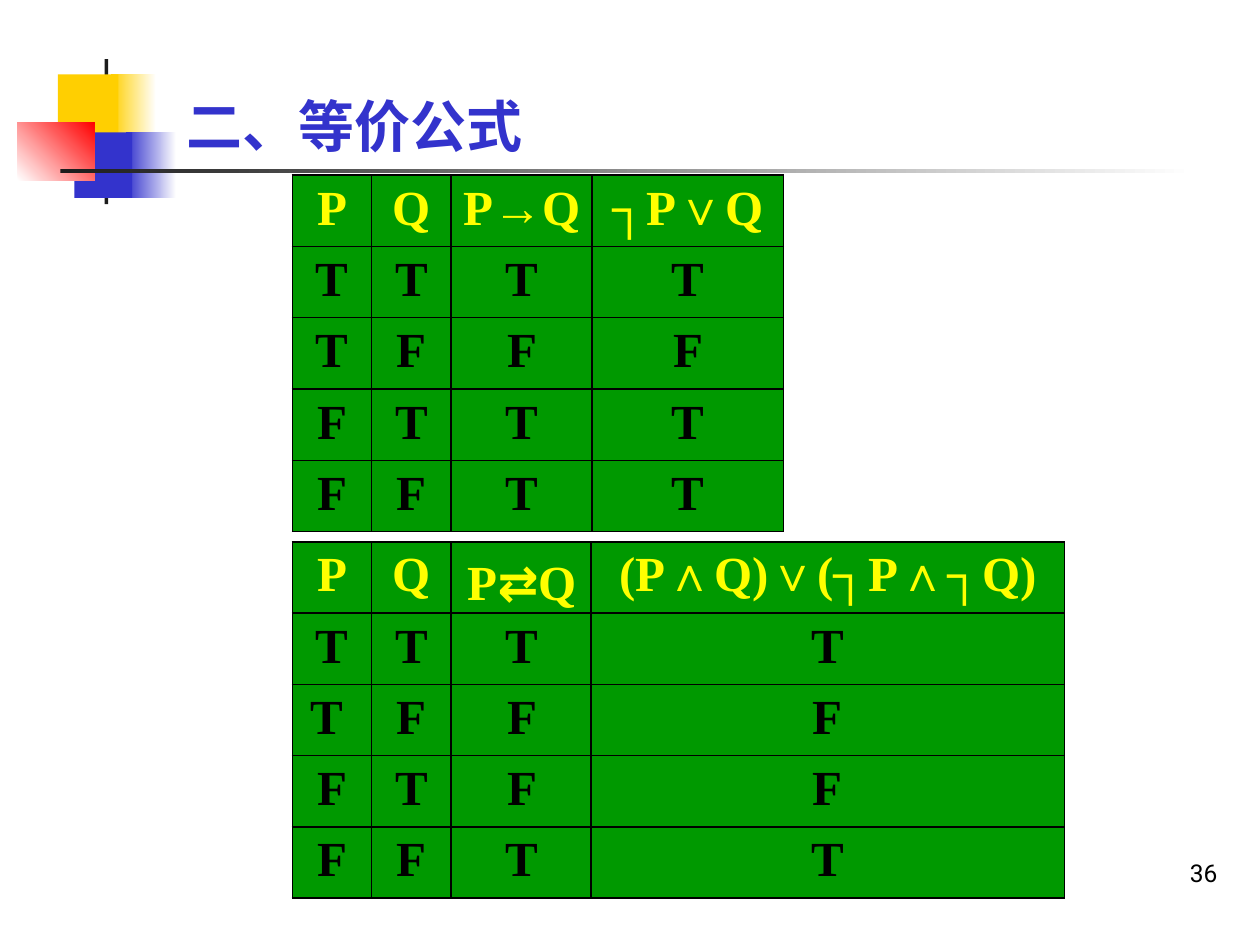
import pptx
import pptx.util
import pptx.dml.color
import pptx.enum.shapes
import pptx.enum.text
import pptx.oxml
from dataclasses import dataclass
from lxml import etree
from pptx.util import Inches


@dataclass(frozen=True)
class Theme:
    blue: str = "3333CC"
    gold: str = "FFCF01"
    red: str = "FF0000"
    dark: str = "1C1C1C"
    white: str = "FFFFFF"
    black: str = "000000"
    green: str = "009900"
    yellow: str = "FFFF00"
    serif: str = "Times New Roman"
    sans: str = "Roboto"
    mono: str = "Noto Sans Mono"
    title: int = 32
    cell: int = 28
    number: int = 14


theme = Theme()
rgb = pptx.dml.color.RGBColor.from_string
PP_ALIGN = pptx.enum.text.PP_ALIGN
MSO_ANCHOR = pptx.enum.text.MSO_ANCHOR


def style_run(r, font, size, color, bold=False):
    r.font.name = font
    r.font.size = pptx.util.Pt(size)
    r.font.bold = bold
    r.font.color.rgb = rgb(color)


def set_borders(cell, color):
    props = cell._tc.get_or_add_tcPr()
    for i, side in enumerate(("lnL", "lnR", "lnT", "lnB")):
        props.insert(i, pptx.oxml.parse_xml(
            f'<a:{side} xmlns:a="http://schemas.openxmlformats.org/drawingml/2006/main" w="12700">'
            f'<a:solidFill><a:srgbClr val="{color}"/></a:solidFill></a:{side}>'))


prs = pptx.Presentation()
prs.slide_width, prs.slide_height = Inches(10), Inches(7.5)
s = prs.slides.add_slide(prs.slide_layouts[5])

# Corner ornament and rule: left, top, width, height, colours, gradient angle
ornament = [
    (0.88, 0.59, 0.36, 0.52, (theme.gold, theme.white), 0),
    (1.0, 1.05, 0.4, 0.52, (theme.blue, theme.white), 0),
    (0.83, 0.47, 0.03, 1.15, (theme.dark,), 0),
    (0.46, 0.59, 0.48, 0.52, (theme.gold,), 0),
    (0.59, 1.05, 0.46, 0.52, (theme.blue,), 0),
    (0.14, 0.97, 0.61, 0.46, (theme.white, theme.red), 45),
    (0.48, 1.34, 9, 0.03, (theme.dark, theme.white), 0),
]
for *box, colors, angle in ornament:
    sp = s.shapes.add_shape(pptx.enum.shapes.MSO_SHAPE.RECTANGLE, *map(Inches, box))
    sp.shadow.inherit = False
    sp.line.fill.background()
    if len(colors) == 1:
        sp.fill.solid()
        sp.fill.fore_color.rgb = rgb(colors[0])
    else:
        sp.fill.gradient()
        sp.fill.gradient_angle = angle
        for stop, color in zip(sp.fill.gradient_stops, colors):
            stop.color.rgb = rgb(color)

# Title
title = s.shapes.title
title.left, title.top, title.width, title.height = map(Inches, (1.38, 0.68, 4.21, 0.63))
tf = title.text_frame
tf.text = "二、等价公式"
tf.vertical_anchor = MSO_ANCHOR.MIDDLE
p = tf.paragraphs[0]
p.alignment = PP_ALIGN.LEFT
style_run(p.runs[0], theme.serif, theme.title, theme.blue, True)

# Slide number
tf = s.shapes.add_textbox(*map(Inches, (7.68, 6.59, 2.08, 0.5))).text_frame
tf.word_wrap = True
tf.vertical_anchor = MSO_ANCHOR.BOTTOM
p = tf.paragraphs[0]
p.text = "36"
p.alignment = PP_ALIGN.RIGHT
style_run(p.runs[0], theme.sans, theme.number, theme.black)

# Truth tables: left, top, column widths, header, body rows
upper, lower, height = 1.39, 4.3, 2.83
tables = [
    (2.32, lower, (0.63, 0.63, 1.13), ("P", "Q", "P⇄Q"),
     (("T", "T", "T"), ("T ", "F", "F"), ("F", "T", "F"), ("F", "F", "T"))),
    (2.32, upper, (0.63, 0.63, 1.13), ("P", "Q", "P→Q"), ("TTT", "TFF", "FTT", "FFT")),
    (4.7, upper, (1.52,), ("┐P∨Q",), "TFTT"),
    (4.69, lower, (3.76,), ("(P∧Q)∨(┐P∧┐Q)",), "TFFT"),
]
for left, top, widths, header, body in tables:
    rows = [header, *body]
    frame = s.shapes.add_table(len(rows), len(widths), Inches(left), Inches(top),
                               Inches(sum(widths)), Inches(height))
    table = frame.table
    for column, width in zip(table.columns, widths):
        column.width = Inches(width)
    for i, values in enumerate(rows):
        table.rows[i].height = Inches(height / len(rows))
        for j, value in enumerate(values):
            cell = table.cell(i, j)
            cell.fill.solid()
            cell.fill.fore_color.rgb = rgb(theme.green)
            set_borders(cell, theme.black)
            cell.margin_bottom = 0
            if len(value) > 2:
                cell.margin_left = cell.margin_right = Inches(0.05)
            p = cell.text_frame.paragraphs[0]
            p.alignment = PP_ALIGN.CENTER
            # The double arrow has its own font
            for part in value.replace("⇄", "|⇄|").split("|"):
                r = p.add_run()
                r.text = part
                font = theme.mono if part == "⇄" else theme.serif
                style_run(r, font, theme.cell, theme.black if i else theme.yellow, True)
                if part == "⇄":
                    ea = etree.SubElement(r._r.get_or_add_rPr(), pptx.oxml.ns.qn("a:ea"))
                    ea.set("typeface", font)

prs.save("out.pptx")
